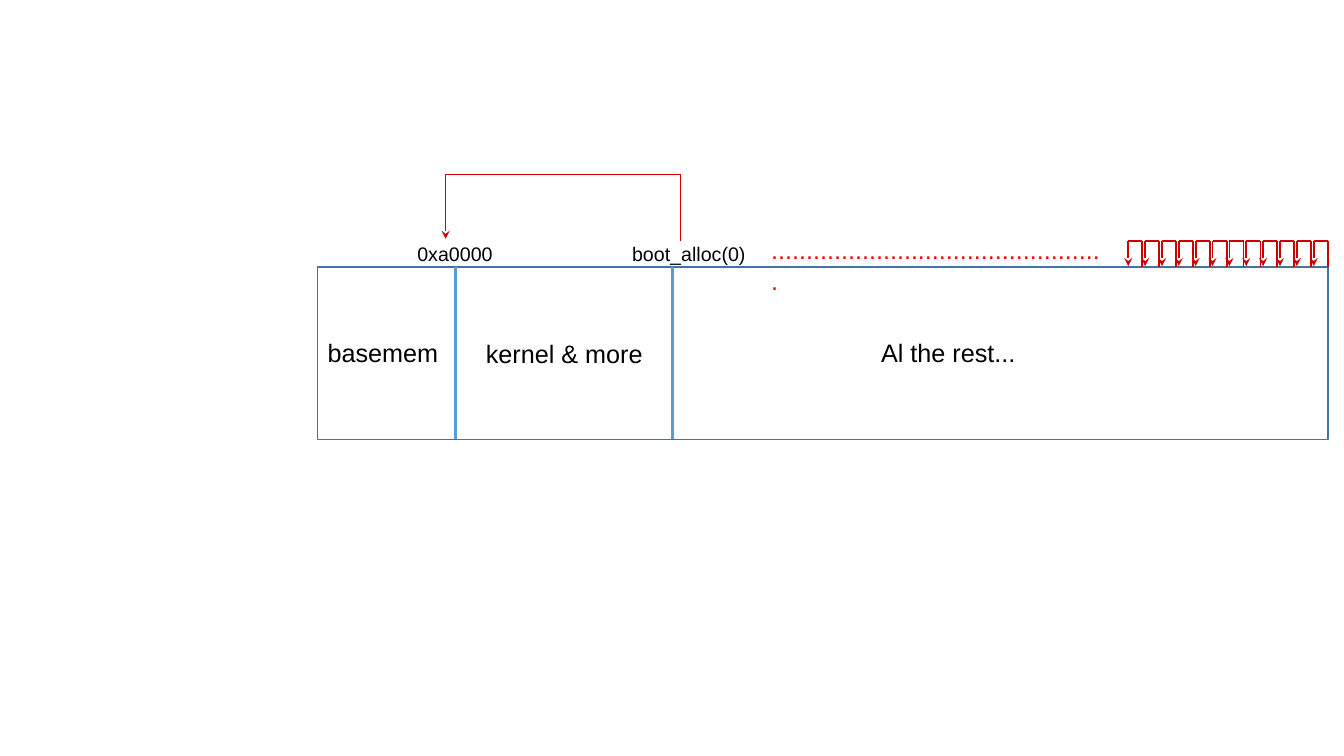
from lxml import etree
from pptx import Presentation
from pptx.dml.color import RGBColor
from pptx.enum.shapes import MSO_CONNECTOR, MSO_SHAPE
from pptx.oxml.ns import qn
from pptx.util import Inches, Pt

STRAIGHT = MSO_CONNECTOR.STRAIGHT
RECTANGLE = MSO_SHAPE.RECTANGLE
COLORS = {
    "frame": "43739E",
    "divider": "5B9BD5",
    "link": "CC0000",
    "dots": "FF0000",
    "text": "000000",
}
HOP_COUNT = 12
DOT_COUNT = 48


def rgb(name):
    """Return the named colour."""
    return RGBColor.from_string(COLORS[name])


def add_label(slide, text, left, top, width, height=0.4, size=18, color="text"):
    """Place a wrapped line of Arial text."""
    frame = slide.shapes.add_textbox(
        Inches(left), Inches(top), Inches(width), Inches(height)
    ).text_frame
    frame.word_wrap = True
    run = frame.paragraphs[0].add_run()
    run.text = text
    run.font.name = "Arial"
    run.font.size = Pt(size)
    run.font.color.rgb = rgb(color)


def add_line(shapes, start, end, color, weight, arrow_at_start=False):
    """Draw a straight line, with an optional arrowhead at its start."""
    line = shapes.add_connector(STRAIGHT, *map(Inches, (*start, *end)))
    line.line.color.rgb = rgb(color)
    line.line.width = Pt(weight)
    properties = line._element.spPr
    etree.SubElement(properties, qn("a:effectLst"))
    if arrow_at_start:
        outline = properties.find(qn("a:ln"))
        etree.SubElement(outline, qn("a:headEnd"), type="stealth")


def add_link(slide, left, top, width, arrow_drop, tail_drop):
    """Draw a grouped bracket that points down at its left end."""
    right = left + width
    shapes = slide.shapes.add_group_shape().shapes
    add_line(shapes, (left, top + arrow_drop), (left, top), "link", 1.25, True)
    add_line(shapes, (left, top), (right, top), "link", 1.25)
    add_line(shapes, (right, top), (right, top + tail_drop), "link", 1.25)


def add_memory(slide, left, top, width, height):
    """Draw the memory bar with its regions and boundary addresses."""
    bar = slide.shapes.add_shape(
        RECTANGLE, Inches(left), Inches(top), Inches(width), Inches(height)
    )
    bar.shadow.inherit = False
    bar.fill.background()
    bar.line.color.rgb = rgb("frame")
    bar.line.width = Pt(1)

    boundaries = [("0xa0000", 1.37, 0.89, 1.15), ("boot_alloc(0)", 3.52, 3.02, 2.28)]
    for address, offset, label_offset, label_width in boundaries:
        x = left + offset
        add_line(slide.shapes, (x, top), (x, top + height), "divider", 1.75)
        add_label(slide, address, left + label_offset, top - 0.3, label_width, 0.34, 14)

    regions = [
        ("basemem", 0, 0.65, 1.39),
        ("kernel & more", 1.57, 0.66, 1.76),
        ("Al the rest...", 5.49, 0.65, 1.64),
    ]
    for region, dx, dy, region_width in regions:
        add_label(slide, region, left + dx, top + dy, region_width)


def add_free_list(slide, left, top, width, height):
    """Draw the chain of page links, from the last page back to the kernel."""
    hop_width, first_hop = 0.14, left + 6.77
    step = (left + width - hop_width - first_hop) / (HOP_COUNT - 1)
    hop_top = top + height - 0.26
    for hop in reversed(range(HOP_COUNT)):
        add_link(slide, first_hop + hop * step, hop_top, hop_width, 0.25, 0.26)
    add_label(slide, "." * DOT_COUNT, left + 3.13, top + 0.55, 3.52, color="dots")
    add_link(slide, left, top, 2.33, 0.64, 0.66)


def main():
    """Build and save the memory layout slide."""
    deck = Presentation()
    deck.slide_width, deck.slide_height = Inches(13.33), Inches(7.5)
    slide = deck.slides.add_slide(deck.slide_layouts[6])
    add_memory(slide, 3.15, 2.65, 10.02, 1.71)
    add_free_list(slide, 4.42, 1.73, 8.75, 0.92)
    deck.save("out.pptx")


main()
